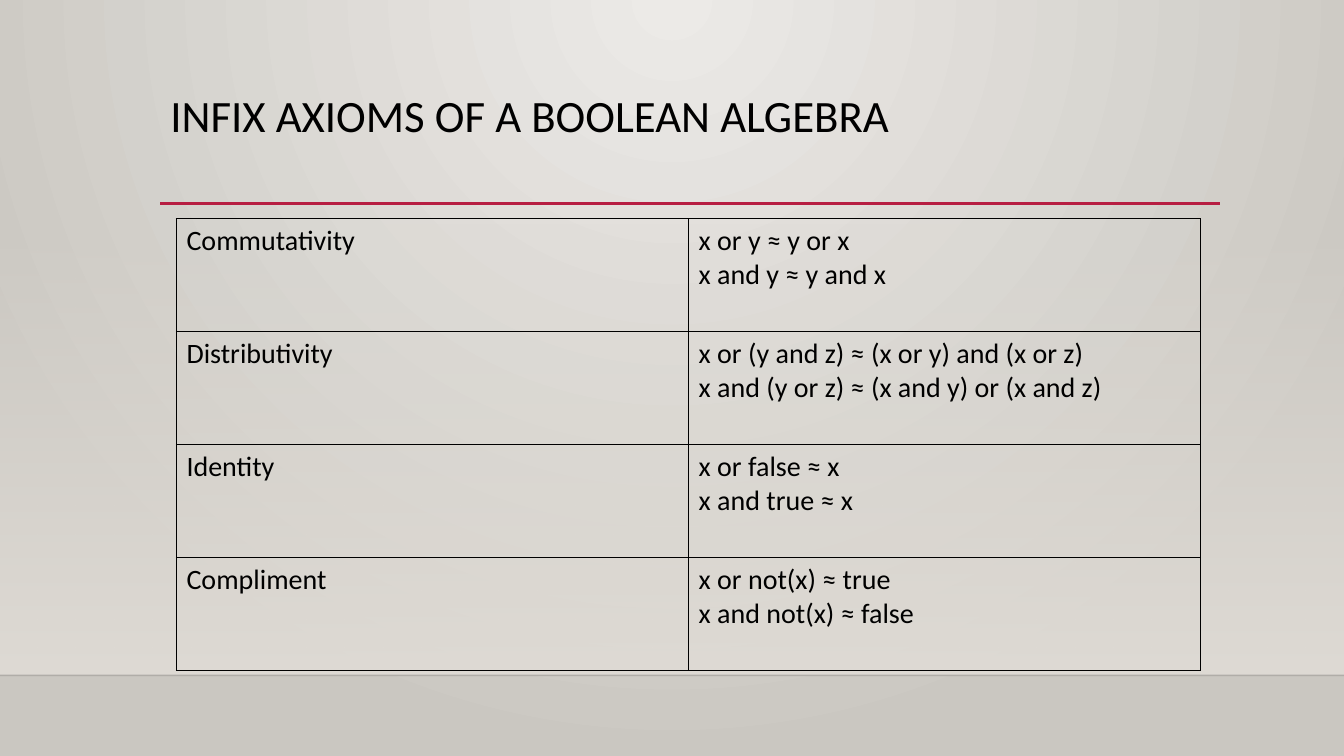
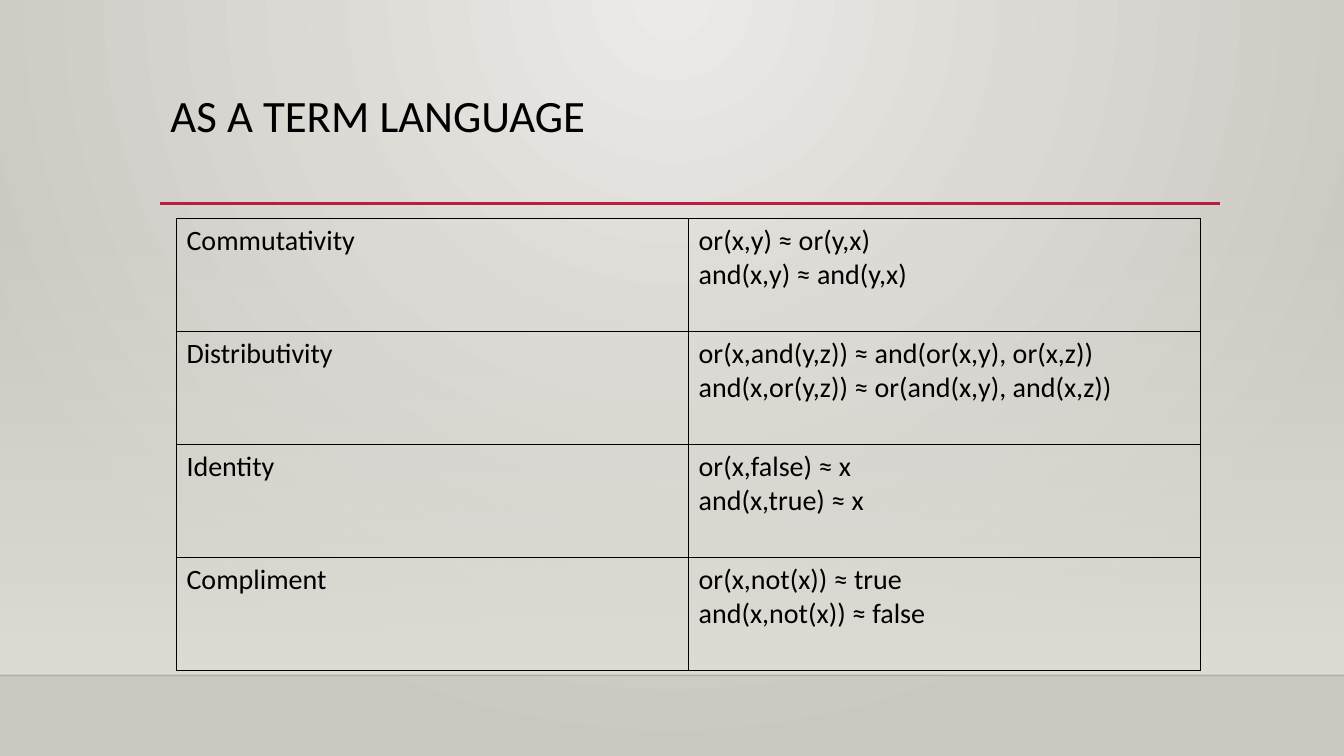
"""Build two slides that state the Boolean algebra axioms in two notations."""
from pptx import Presentation
from pptx.dml.color import RGBColor as RGB
from pptx.enum.shapes import MSO_CONNECTOR as CONN, MSO_SHAPE as SHAPE
from pptx.enum.text import MSO_ANCHOR as ANCHOR, MSO_AUTO_SIZE as FIT, PP_ALIGN as ALIGN
from pptx.oxml import parse_xml
from pptx.oxml.ns import nsdecls, qn
from pptx.util import Inches, Pt

COLORS = {
    "text": "000000",
    "accent": "B71E42",
    "glow": "ECEAE7",
    "edge": "CAC7C1",
    "wall": "DFDBD5",
}
FONT = "Calibri"
WIDTH, HEIGHT = 13.33, 7.5
FLOOR = 6.7
LAWS = ["Commutativity", "Distributivity", "Identity", "Compliment"]
SLIDES = [
    ("INFIX AXIOMS OF A BOOLEAN ALGEBRA", [
        ("x or y ≈ y or x", "x and y ≈ y and x"),
        ("x or (y and z) ≈ (x or y) and (x or z)",
         "x and (y or z) ≈ (x and y) or (x and z)"),
        ("x or false ≈ x", "x and true ≈ x"),
        ("x or not(x) ≈ true", "x and not(x) ≈ false"),
    ]),
    ("AS A TERM LANGUAGE", [
        ("or(x,y) ≈ or(y,x)", "and(x,y) ≈ and(y,x)"),
        ("or(x,and(y,z)) ≈ and(or(x,y), or(x,z))",
         "and(x,or(y,z)) ≈ or(and(x,y), and(x,z))"),
        ("or(x,false) ≈ x", "and(x,true) ≈ x"),
        ("or(x,not(x)) ≈ true", "and(x,not(x)) ≈ false"),
    ]),
]


def write(tf, lines, size, color="text", spacing=None):
    for i, line in enumerate(lines):
        p = tf.paragraphs[0] if i == 0 else tf.add_paragraph()
        p.alignment = ALIGN.LEFT
        if spacing:
            p.line_spacing = spacing
        r = p.add_run()
        r.text = line
        r.font.name = FONT
        r.font.size = Pt(size)
        r.font.color.rgb = RGB.from_string(COLORS[color])


def set_gradient(fill, parent, stops, direction):
    fill.gradient()
    gs = "".join(
        f'<a:gs pos="{pos * 1000}"><a:srgbClr val="{COLORS[color]}">'
        f'<a:alpha val="{alpha * 1000}"/></a:srgbClr></a:gs>'
        for pos, color, alpha in stops)
    grad = parse_xml(f'<a:gradFill {nsdecls("a")} rotWithShape="1">'
                     f'<a:gsLst>{gs}</a:gsLst>{direction}</a:gradFill>')
    parent.replace(parent.find(qn("a:gradFill")), grad)


class Deck:
    def __init__(self):
        self.prs = Presentation()
        self.prs.slide_width = Inches(WIDTH)
        self.prs.slide_height = Inches(HEIGHT)
        self.s = None
        master = self.prs.slide_master
        fill = master.background.fill
        set_gradient(
            fill, master.element.find(".//" + qn("p:bgPr")),
            [(0, "glow", 100), (100, "edge", 100)],
            '<a:path path="circle">'
            '<a:fillToRect l="43000" t="0" r="43000" b="100000"/></a:path>')

    def slide(self, title):
        self.s = self.prs.slides.add_slide(self.prs.slide_layouts[5])
        self.wall()
        self.line(0, FLOOR, WIDTH, "text", 1, alpha=20)
        self.line(1.59, 2.02, 10.51, "accent", 2.5)
        self.title(title)

    def wall(self):
        sp = self.s.shapes.add_shape(
            SHAPE.RECTANGLE, 0, Inches(2.21), Inches(WIDTH), Inches(FLOOR - 2.21))
        sp.shadow.inherit = False
        sp.line.fill.background()
        set_gradient(sp.fill, sp.element.spPr,
                     [(0, "wall", 0), (100, "wall", 100)],
                     '<a:lin ang="5400000" scaled="0"/>')

    def line(self, x, y, w, color, weight, alpha=100):
        cx = self.s.shapes.add_connector(
            CONN.STRAIGHT, Inches(x), Inches(y), Inches(x + w), Inches(y))
        cx.line.width = Pt(weight)
        cx.line.color.rgb = RGB.from_string(COLORS[color])
        spPr = cx.element.spPr
        if alpha < 100:
            spPr.find(".//" + qn("a:srgbClr")).append(
                parse_xml(f'<a:alpha {nsdecls("a")} val="{alpha * 1000}"/>'))
        spPr.append(parse_xml(f'<a:effectLst {nsdecls("a")}/>'))

    def title(self, text):
        sp = self.s.shapes.title
        sp.left, sp.top = Inches(1.59), Inches(0.88)
        sp.width, sp.height = Inches(10.5), Inches(1.15)
        tf = sp.text_frame
        tf.word_wrap = True
        tf.auto_size = FIT.NONE
        tf.vertical_anchor = ANCHOR.TOP
        write(tf, [text], 32, spacing=0.9)

    def table(self, rows, x=1.75, y=2.17, col_w=5.08, row_h=1.12):
        cols = len(rows[0])
        tbl = self.s.shapes.add_table(
            len(rows), cols, Inches(x), Inches(y),
            Inches(col_w * cols), Inches(row_h * len(rows))).table
        tbl.first_row = tbl.horz_banding = False
        for i, row in enumerate(rows):
            for j, lines in enumerate(row):
                cell = tbl.cell(i, j)
                self.borders(cell)
                cell.fill.background()
                write(cell.text_frame, lines, 20)

    def borders(self, cell):
        tcPr = cell._tc.get_or_add_tcPr()
        for side in "LRTB":
            tcPr.append(parse_xml(
                f'<a:ln{side} {nsdecls("a")} w="{Pt(1)}"><a:solidFill>'
                f'<a:srgbClr val="{COLORS["text"]}"/></a:solidFill></a:ln{side}>'))


def main():
    deck = Deck()
    for title, axioms in SLIDES:
        deck.slide(title)
        deck.table([([law], pair) for law, pair in zip(LAWS, axioms)])
    deck.prs.save("out.pptx")


if __name__ == "__main__":
    main()
